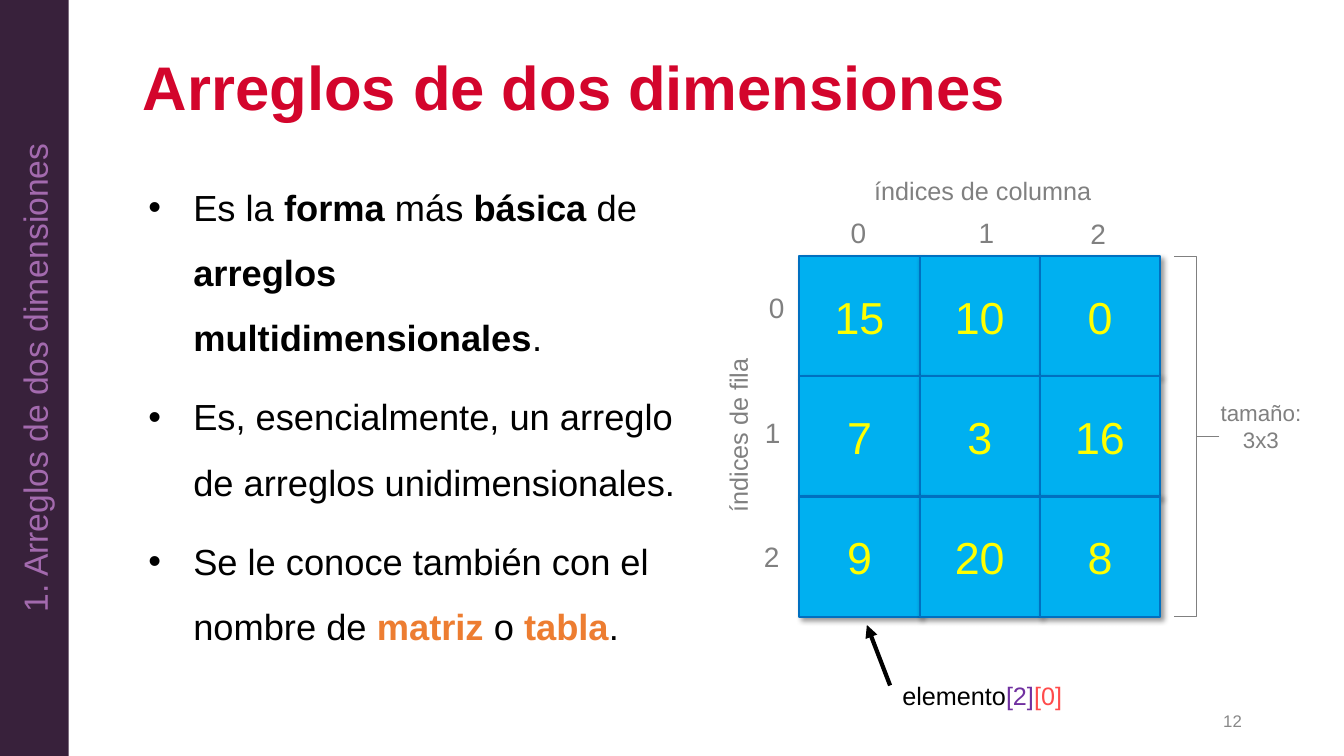
from lxml import etree
from pptx import Presentation
from pptx.dml.color import RGBColor
from pptx.enum.shapes import MSO_CONNECTOR, MSO_SHAPE
from pptx.enum.text import MSO_ANCHOR, PP_ALIGN
from pptx.oxml.ns import qn
from pptx.util import Pt

RECT, ROUND = MSO_SHAPE.RECTANGLE, MSO_SHAPE.ROUNDED_RECTANGLE
BRACE, LINE = MSO_SHAPE.RIGHT_BRACE, MSO_CONNECTOR.STRAIGHT
MID, TOP = MSO_ANCHOR.MIDDLE, MSO_ANCHOR.TOP
LEFT, MIDST, RIGHT = PP_ALIGN.LEFT, PP_ALIGN.CENTER, PP_ALIGN.RIGHT

BLACK = RGBColor(0, 0, 0)
WHITE = RGBColor(255, 255, 255)
RED = RGBColor(0xD3, 0x05, 0x2C)
GRAY = RGBColor(0x80, 0x80, 0x80)
PALE = RGBColor(0x88, 0x88, 0x88)
PLUM = RGBColor(0x38, 0x21, 0x3B)
LILAC = RGBColor(0xA3, 0x6A, 0xAE)
ORANGE = RGBColor(0xED, 0x7D, 0x31)
SKY = RGBColor(0x00, 0xB0, 0xF0)
BLUE = RGBColor(0x00, 0x70, 0xC0)
YELLOW = RGBColor(0xFF, 0xFF, 0x00)
VIOLET = RGBColor(0x70, 0x30, 0xA0)
CORAL = RGBColor(0xFF, 0x4B, 0x4B)

MATRIX = [[15, 10, 0], [7, 3, 16], [9, 20, 8]]
CELL, GRID_X, GRID_Y = 85.9, 571, 182.9
COLS = [(600.5, 150.5), (691.9, 150.5), (771.8, 151.2)]
ROWS = [(542.2, 203.8), (539.3, 293), (538.6, 381.6)]
POINTS = [
    [("Es la ", BLACK, False), ("forma", BLACK, True), (" más ", BLACK, False),
     ("básica", BLACK, True), (" de ", BLACK, False),
     ("arreglos multidimensionales", BLACK, True), (".", BLACK, False)],
    [("Es, esencialmente, un arreglo de arreglos unidimensionales.", BLACK, False)],
    [("Se le conoce también con el nombre de ", BLACK, False),
     ("matriz", ORANGE, True), (" o ", BLACK, False),
     ("tabla", ORANGE, True), (".", BLACK, False)],
]


def add_run(para, text, size, color, bold=False):
    """Add one run of text to a paragraph."""
    run = para.add_run()
    run.text = text
    font = run.font
    font.name, font.size, font.bold = "Arial", Pt(size), bold
    font.color.rgb = color


def add_text(slide, box, text, size, color, bold=False, align=LEFT, anchor=MID, wrap=True):
    """Add a text box with one line of text."""
    frame = slide.shapes.add_textbox(*map(Pt, box)).text_frame
    frame.word_wrap, frame.vertical_anchor = wrap, anchor
    para = frame.paragraphs[0]
    para.alignment = align
    add_run(para, text, size, color, bold)
    return para


def add_block(slide, kind, box, runs=(), size=18, fill=None, line=None, width=1.5):
    """Add a preset shape with centred lines of runs."""
    shape = slide.shapes.add_shape(kind, *map(Pt, box))
    shape.shadow.inherit = False
    if fill is None:
        shape.fill.background()
    else:
        shape.fill.solid()
        shape.fill.fore_color.rgb = fill
    if line is None:
        shape.line.fill.background()
    else:
        shape.line.color.rgb = line
        shape.line.width = Pt(width)
    frame = shape.text_frame
    frame.vertical_anchor = MID
    para = frame.paragraphs[0]
    para.alignment = MIDST
    for text, color in runs:
        add_run(para, text, size, color)
    return shape


def add_shade(shape):
    """Give a shape a soft outer shadow."""
    effects = shape._element.spPr.find(qn("a:effectLst"))
    shade = etree.SubElement(effects, qn("a:outerShdw"), blurRad=str(Pt(4)),
                             dist=str(Pt(3)), dir="2700000", algn="tl", rotWithShape="0")
    color = etree.SubElement(shade, qn("a:srgbClr"), val=str(BLACK))
    etree.SubElement(color, qn("a:alpha"), val="40000")


def add_points(slide, box):
    """Add the bullet list."""
    frame = slide.shapes.add_textbox(*map(Pt, box)).text_frame
    frame.word_wrap = True
    for i, runs in enumerate(POINTS):
        para = frame.add_paragraph() if i else frame.paragraphs[0]
        props = para._p.get_or_add_pPr()
        props.set("marL", str(Pt(36)))
        props.set("indent", str(Pt(-32)))
        etree.SubElement(props, qn("a:buFont"), typeface="Arial")
        etree.SubElement(props, qn("a:buChar"), char="•")
        para.line_spacing = 1.5
        if i:
            para.space_before = Pt(10)
        for text, color, bold in runs:
            add_run(para, text, 25.9, color, bold)


def add_grid(slide):
    """Add the matrix cells with their row and column numbers."""
    for r, row in enumerate(MATRIX):
        for c, value in enumerate(row):
            box = (GRID_X + c * CELL, GRID_Y + r * CELL, CELL, CELL)
            add_shade(add_block(slide, RECT, box, [(str(value), YELLOW)], 32, SKY, BLUE))
    for places in (COLS, ROWS):
        for i, (x, y) in enumerate(places):
            add_text(slide, (x, y, 25.9, 31.7), str(i), 20, GRAY, anchor=TOP, wrap=False)


def add_arrow(slide, start, end):
    """Add a black arrow between two places."""
    arrow = slide.shapes.add_connector(LINE, *map(Pt, start + end))
    arrow.line.color.rgb = BLACK
    arrow.line.width = Pt(3)
    etree.SubElement(arrow.line._get_or_add_ln(), qn("a:tailEnd"), type="triangle")
    etree.SubElement(arrow._element.spPr, qn("a:effectLst"))


def main():
    """Build the slide and save it."""
    deck = Presentation()
    deck.slide_width, deck.slide_height = Pt(960), Pt(540)
    slide = deck.slides.add_slide(deck.slide_layouts[6])

    title = add_text(slide, (95, 33.8, 799, 61.9), "Arreglos de dos dimensiones", 44, RED, True)
    title.line_spacing = 0.9
    add_text(slide, (678.2, 500.4, 216, 28.8), "12", 12, PALE, align=RIGHT)
    add_points(slide, (95, 113, 401, 376.6))
    side = add_block(slide, RECT, (0, 0, 49, 540),
                     [("1. Arreglos de dos dimensiones", LILAC)], 24, PLUM)
    side.text_frame._txBody.bodyPr.set("vert", "vert270")

    add_block(slide, ROUND, (597.6, 118, 208.8, 36), [("índices de columna", GRAY)])
    axis = add_block(slide, ROUND, (442.8, 293, 168.5, 36), [("índices de fila", GRAY)])
    axis.rotation = 270
    size = add_block(slide, ROUND, (861.8, 286.6, 77.8, 36), [("tamaño:", GRAY)], 16)
    para = size.text_frame.paragraphs[0]
    para.add_line_break()
    add_run(para, "3x3", 16, GRAY)
    add_block(slide, ROUND, (633.6, 478.8, 136, 36),
              [("elemento", BLACK), ("[2]", VIOLET), ("[0]", CORAL)], fill=WHITE)
    add_grid(slide)
    add_arrow(slide, (635.8, 489.6), (619.2, 446.4))
    brace = add_block(slide, BRACE, (838.8, GRID_Y, 31.7, 3 * CELL), line=GRAY, width=0.75)
    brace.adjustments[0], brace.adjustments[1] = 0, 0.5
    deck.save("out.pptx")


if __name__ == "__main__":
    main()
